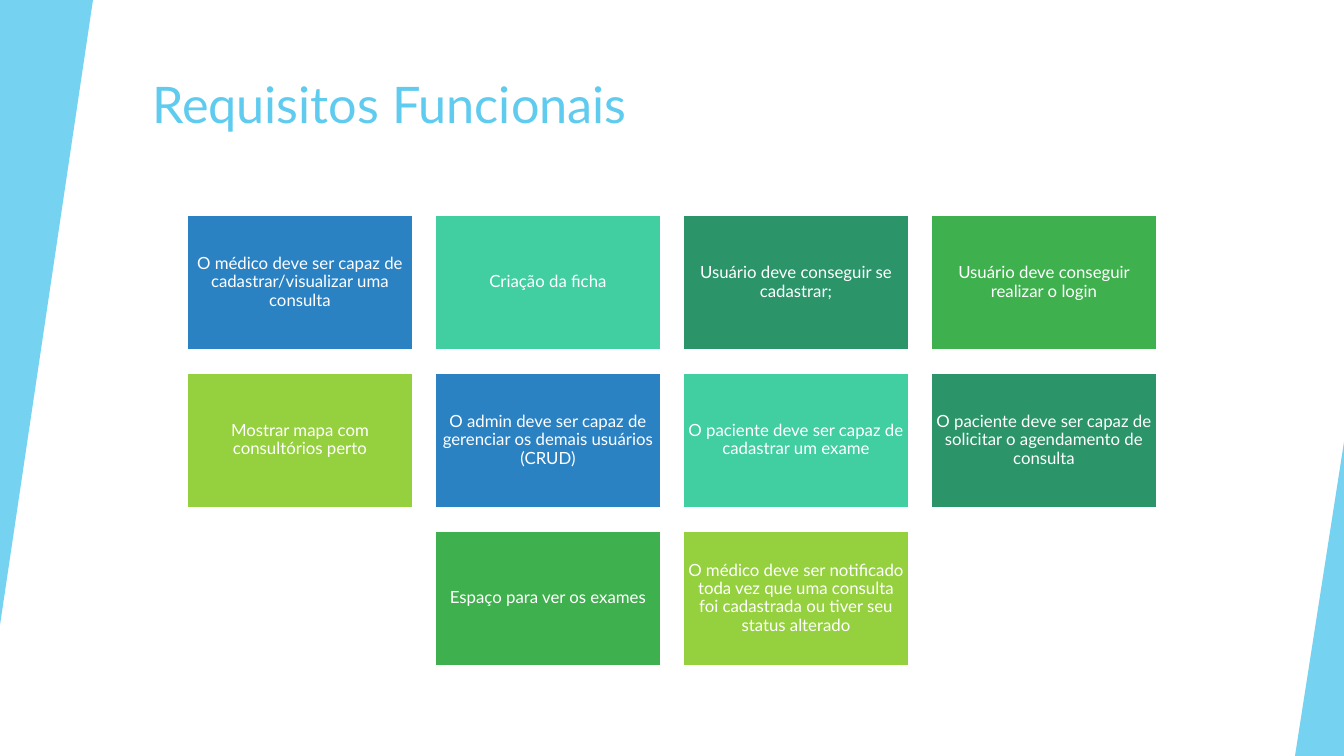
import lxml.etree
import pptx
import pptx.dml.color
import pptx.enum.shapes
import pptx.enum.text
import pptx.oxml.ns
import pptx.util

RGBColor = pptx.dml.color.RGBColor
SKY = RGBColor(0x5F, 0xCB, 0xEF)
WHITE = RGBColor(0xFF, 0xFF, 0xFF)
BLUE = RGBColor(0x2B, 0x82, 0xC3)
MINT = RGBColor(0x41, 0xCE, 0xA1)
TEAL = RGBColor(0x2B, 0x94, 0x68)
GREEN = RGBColor(0x3F, 0xB0, 0x4E)
LIME = RGBColor(0x95, 0xD1, 0x3E)
CARD_COLORS = [BLUE, MINT, TEAL, GREEN, LIME]

SLIDE_W, SLIDE_H = 1344, 756
EMU_PER_PX = 12192000 / SLIDE_W


def px(*lengths):
    return [pptx.util.Emu(round(length * EMU_PER_PX)) for length in lengths]


def write(shape, text, frame_format, paragraph_format, font_format, color):
    frame = shape.text_frame
    frame.text = text
    paragraph = frame.paragraphs[0]
    for target, values in ((frame, frame_format), (paragraph, paragraph_format),
                           (paragraph.font, {}), (paragraph.runs[0].font, font_format)):
        for name, value in values.items():
            setattr(target, name, value)
    paragraph.runs[0].font.color.rgb = color


prs = pptx.Presentation()
prs.slide_width, prs.slide_height = px(SLIDE_W, SLIDE_H)
slide = prs.slides.add_slide(prs.slide_layouts[5])

# Title
title = slide.shapes.title
title.left, title.top, title.width, title.height = px(142, 68, 1124, 121)
write(title, "Requisitos Funcionais",
      {"vertical_anchor": pptx.enum.text.MSO_ANCHOR.TOP, "word_wrap": True,
       "auto_size": pptx.enum.text.MSO_AUTO_SIZE.NONE},
      {"alignment": pptx.enum.text.PP_ALIGN.LEFT},
      {"name": "Lato", "size": pptx.util.Pt(36)}, SKY)

# Translucent wedges along both side edges
for box, rotation in (((0, 0, 93, 625), 180), ((1295, 442, 49, 314), 0)):
    wedge = slide.shapes.add_shape(
        pptx.enum.shapes.MSO_SHAPE.ISOSCELES_TRIANGLE, *px(*box))
    wedge.adjustments[0] = 1
    wedge.rotation = rotation
    wedge.shadow.inherit = False
    wedge.fill.solid()
    wedge.fill.fore_color.rgb = SKY
    wedge.line.fill.background()
    fill_color = wedge.fill._xPr.find(".//" + pptx.oxml.ns.qn("a:srgbClr"))
    lxml.etree.SubElement(fill_color, pptx.oxml.ns.qn("a:alpha"), val="85000")

# Requirement cards: four columns, with the last row centred
requirements = [
    "O médico deve ser capaz de cadastrar/visualizar uma consulta",
    "Criação da ficha",
    "Usuário deve conseguir se cadastrar;",
    "Usuário deve conseguir realizar o login",
    "Mostrar mapa com consultórios perto",
    "O admin deve ser capaz de gerenciar os demais usuários (CRUD)",
    "O paciente deve ser capaz de cadastrar um exame",
    "O paciente deve ser capaz de solicitar o agendamento de consulta",
    "Espaço para ver os exames",
    "O médico deve ser notificado toda vez que uma consulta foi cadastrada "
    "ou tiver seu status alterado",
]
COLUMNS = 4
CARD_W, CARD_H = 226, 135
STEP_X, STEP_Y = 248, 158
GRID_LEFT, GRID_TOP = 187, 215
inset = px(5)[0]
card_frame = {"word_wrap": True, "vertical_anchor": pptx.enum.text.MSO_ANCHOR.MIDDLE,
              "margin_left": inset, "margin_right": inset,
              "margin_top": inset, "margin_bottom": inset}
card_paragraph = {"alignment": pptx.enum.text.PP_ALIGN.CENTER, "line_spacing": 0.9}
card_font = {"name": "Lato", "size": pptx.util.Pt(12)}

for index, requirement in enumerate(requirements):
    row, column = divmod(index, COLUMNS)
    cards_in_row = min(COLUMNS, len(requirements) - row * COLUMNS)
    column += (COLUMNS - cards_in_row) / 2
    card = slide.shapes.add_shape(
        pptx.enum.shapes.MSO_SHAPE.RECTANGLE,
        *px(GRID_LEFT + column * STEP_X, GRID_TOP + row * STEP_Y, CARD_W, CARD_H))
    card.shadow.inherit = False
    card.fill.solid()
    card.fill.fore_color.rgb = CARD_COLORS[index % len(CARD_COLORS)]
    card.line.color.rgb = WHITE
    card.line.width = pptx.util.Pt(1.5)
    write(card, requirement, card_frame, card_paragraph, card_font, WHITE)

prs.save("out.pptx")
